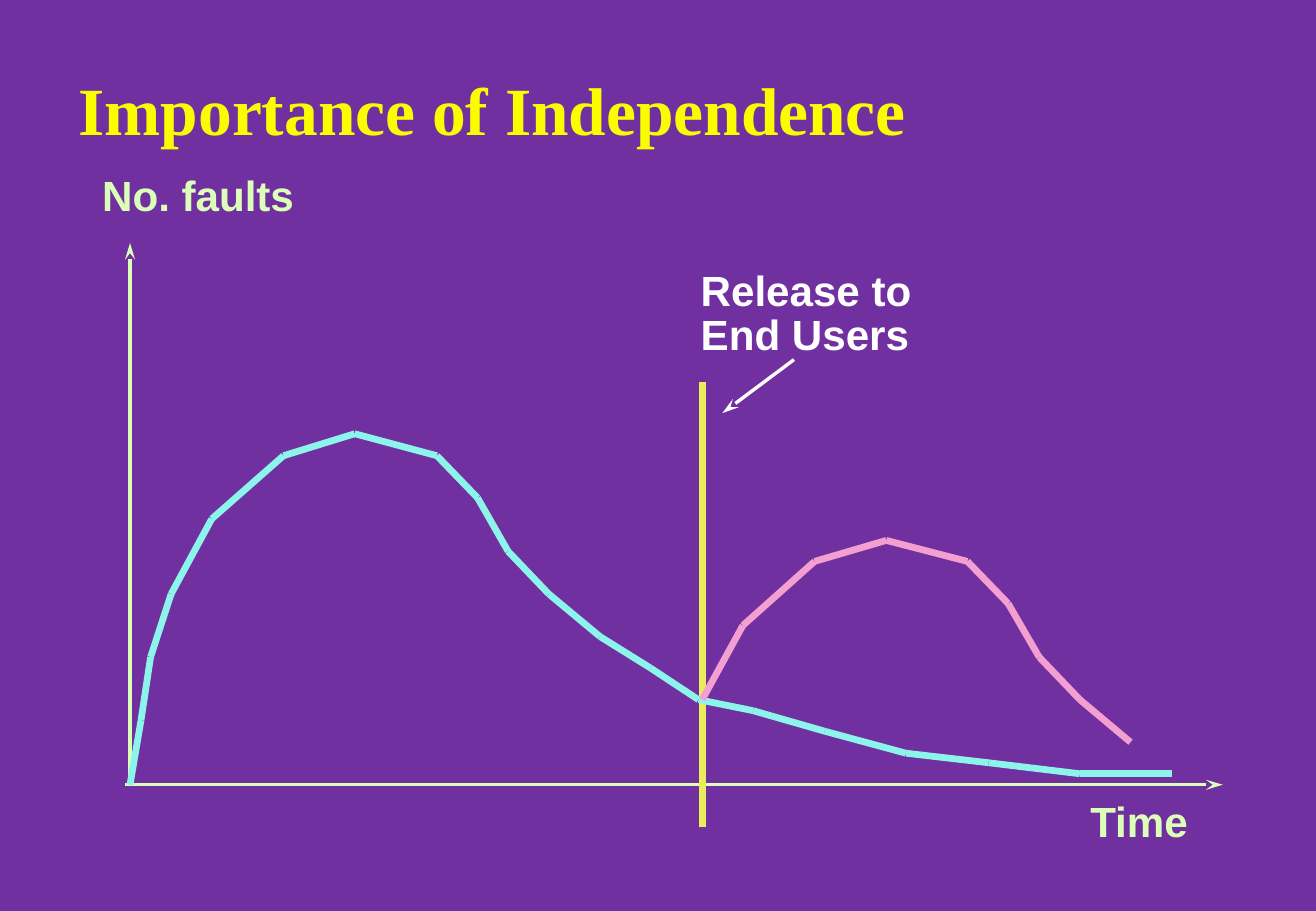
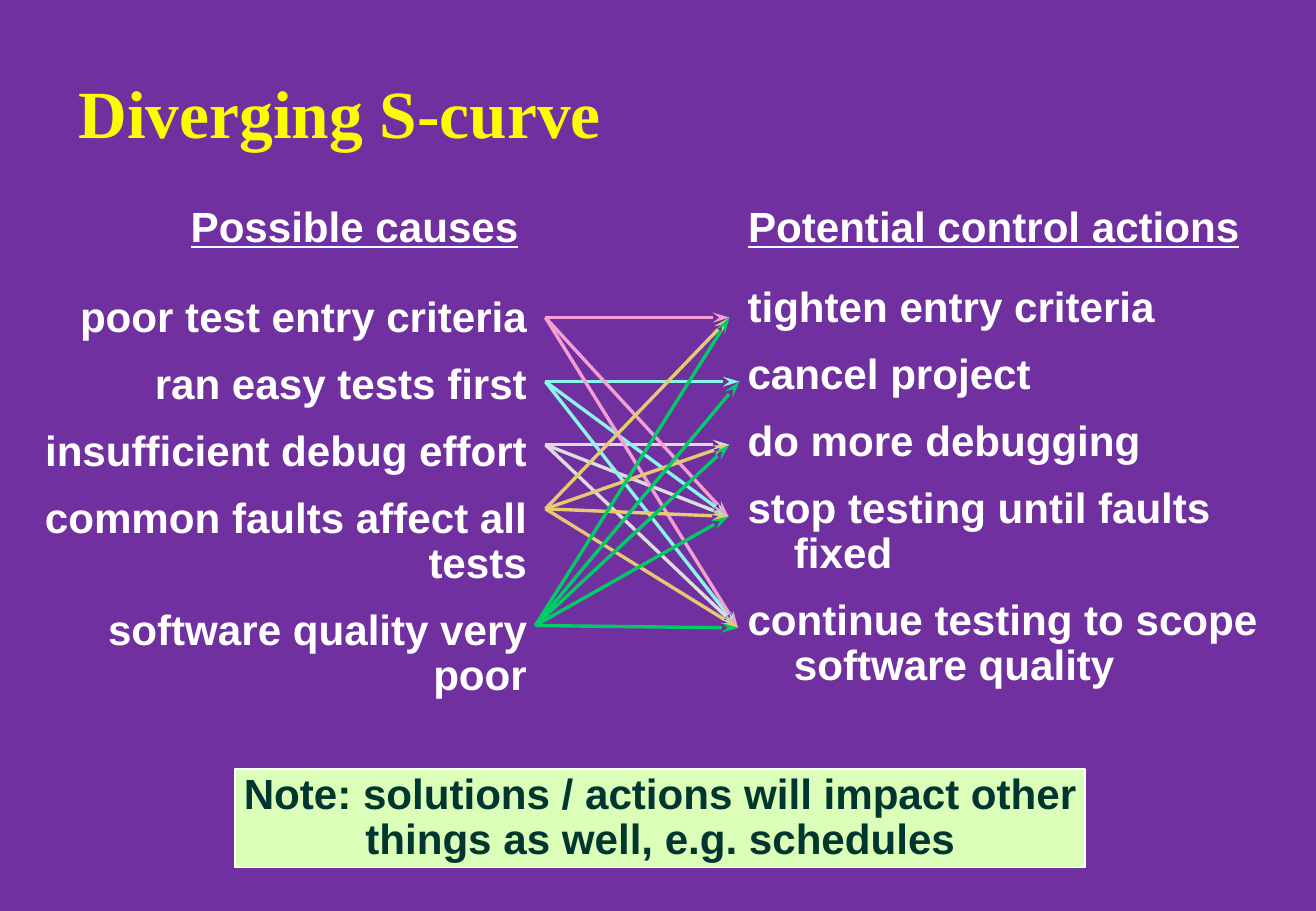
from dataclasses import dataclass, field
from itertools import pairwise
from typing import Any, NamedTuple

from lxml.etree import SubElement
from pptx import Presentation
from pptx.dml.color import RGBColor
from pptx.enum.shapes import MSO_CONNECTOR, MSO_SHAPE
from pptx.enum.text import MSO_ANCHOR, MSO_AUTO_SIZE, PP_ALIGN
from pptx.oxml.ns import qn
from pptx.util import Cm, Pt


@dataclass(frozen=True)
class Theme:
    background: str = "7030A0"
    title: str = "FAFD00"
    text: str = "FFFFFF"
    pale: str = "DBFFB8"
    dark: str = "003530"
    release: str = "EAEC5E"
    aqua: str = "8CF4EA"
    pink: str = "F39FD1"
    grey: str = "DDDDDD"
    sand: str = "E5CA72"
    green: str = "00CC66"
    title_font: str = "Times New Roman"
    body_font: str = "Arial"
    title_size: float = 40
    body_size: float = 25
    thin: float = 2
    thick: float = 4


THEME = Theme()


class Point(NamedTuple):
    """A place on the slide, in centimetres."""
    x: float
    y: float


class Area(NamedTuple):
    """Left, top, width and height, in centimetres."""
    left: float
    top: float
    width: float
    height: float


@dataclass(frozen=True)
class Label:
    lines: tuple[str, ...]
    area: Area
    color: str = THEME.text
    wrap: bool = False
    hanging: float = 0
    font: dict[str, Any] = field(default_factory=dict)
    paragraph: dict[str, Any] = field(default_factory=dict)


@dataclass(frozen=True)
class Line:
    start: Point
    end: Point
    color: str
    width: float = THEME.thin
    arrow: bool = True


@dataclass(frozen=True)
class Curve:
    color: str
    points: tuple[Point, ...]


@dataclass(frozen=True)
class Action:
    text: str
    tip: Point


@dataclass(frozen=True)
class Cause:
    text: str
    start: Point
    color: str
    actions: tuple[int, ...]


ORIGIN = Point(2.72, 16.41)
RELEASE_X = 14.69
CURVES = (
    Curve(THEME.aqua, (
        ORIGIN, Point(2.95, 15.06), Point(3.15, 13.74), Point(3.58, 12.42),
        Point(4.43, 10.85), Point(5.93, 9.53), Point(7.42, 9.07), Point(9.14, 9.53),
        Point(9.99, 10.41), Point(10.63, 11.53), Point(11.48, 12.42),
        Point(12.55, 13.31), Point(13.61, 13.97), Point(14.61, 14.63),
        Point(15.75, 14.86), Point(17.25, 15.29), Point(18.95, 15.75),
        Point(20.68, 15.95), Point(22.59, 16.18), Point(24.51, 16.18))),
    Curve(THEME.pink, (
        Point(RELEASE_X, 14.63), Point(15.54, 13.08), Point(17.04, 11.74),
        Point(18.54, 11.3), Point(20.24, 11.74), Point(21.09, 12.62),
        Point(21.74, 13.74), Point(22.59, 14.63), Point(23.65, 15.52))),
)
GRAPH_LINES = (
    Line(Point(2.62, ORIGIN.y), Point(25.58, ORIGIN.y), THEME.pale),
    Line(ORIGIN, Point(ORIGIN.x, 5.08), THEME.pale),
    Line(Point(RELEASE_X, 7.98), Point(RELEASE_X, 17.3), THEME.release, THEME.thick, False),
    Line(Point(16.61, 7.52), Point(15.11, 8.64), THEME.text),
)
GRAPH_LABELS = (
    Label(("Time",), Area(22.63, 16.69, 2.41, 1.07), THEME.pale),
    Label(("No. faults",), Area(1.96, 3.61, 4.4, 1.07), THEME.pale),
    Label(("Release to", "End Users"), Area(14.48, 5.6, 4.78, 1.98)),
)

ACTIONS = (
    Action("tighten entry criteria", Point(15.26, 6.64)),
    Action("cancel project", Point(15.47, 7.98)),
    Action("do more debugging", Point(15.26, 9.3)),
    Action("stop testing until faults fixed", Point(15.24, 10.8)),
    Action("continue testing to scope software quality", Point(15.44, 13.13)),
)
CAUSES = (
    Cause("poor test entry criteria", Point(11.41, 6.64), THEME.pink, (0, 3, 4)),
    Cause("ran easy tests first", Point(11.41, 7.98), THEME.aqua, (3, 1, 4)),
    Cause("insufficient debug effort", Point(11.41, 9.3), THEME.grey, (2, 3, 4)),
    Cause("common faults affect all tests", Point(11.41, 10.64), THEME.sand, (3, 2, 4, 0)),
    Cause("software quality very poor", Point(11.2, 13.08), THEME.green, (4, 1, 3, 0, 2)),
)
ITEM_FORMAT = {"line_spacing": 0.88, "space_before": Pt(13.4)}
UNDERLINED = {"underline": True}
HANGING = 0.97
LIST_LABELS = (
    Label(tuple(cause.text for cause in CAUSES), Area(0.43, 6.13, 10.77, 8.56),
          wrap=True, hanging=HANGING,
          paragraph=ITEM_FORMAT | {"alignment": PP_ALIGN.RIGHT}),
    Label(tuple(action.text for action in ACTIONS), Area(15.46, 5.92, 12.06, 8.56),
          wrap=True, hanging=HANGING, paragraph=ITEM_FORMAT),
    Label(("Possible causes",), Area(3.81, 4.25, 7.26, 1.07), font=UNDERLINED),
    Label(("Potential control actions",), Area(15.47, 4.25, 10.64, 1.07), font=UNDERLINED),
)
NOTE = Label(
    ("Note: solutions / actions will impact other", "things as well, e.g. schedules"),
    Area(4.92, 16.08, 17.78, 2.06), THEME.dark,
    paragraph={"line_spacing": 0.9, "alignment": PP_ALIGN.CENTER})


def apply_format(target: Any, values: dict[str, Any]) -> None:
    for name, value in values.items():
        setattr(target, name, value)


def in_cm(values: tuple[float, ...]) -> list[Cm]:
    return [Cm(value) for value in values]


def format_font(font: Any, name: str, size: float, color: str, **extra: Any) -> None:
    apply_format(font, {"name": name, "size": Pt(size), "bold": True} | extra)
    font.color.rgb = RGBColor.from_string(color)


def format_line(line: Any, color: str, width: float) -> None:
    line.color.rgb = RGBColor.from_string(color)
    line.width = Pt(width)


def add_page(deck: Any, title: str, spacing: float) -> Any:
    page = deck.slides.add_slide(deck.slide_layouts[5])
    box = page.shapes.title
    place = dict(zip(Area._fields, in_cm(Area(1.39, 1.49, 23.39, 1.7))))
    apply_format(box, place)
    apply_format(box.text_frame, {
        "text": title, "auto_size": MSO_AUTO_SIZE.NONE,
        "vertical_anchor": MSO_ANCHOR.MIDDLE})
    para = box.text_frame.paragraphs[0]
    apply_format(para, {"alignment": PP_ALIGN.LEFT, "line_spacing": spacing})
    format_font(para.runs[0].font, THEME.title_font, THEME.title_size, THEME.title)
    return page


def write_label(box: Any, label: Label) -> None:
    """Fill a box with one paragraph for each line of the label."""
    frame = box.text_frame
    apply_format(frame, {
        "word_wrap": label.wrap, "auto_size": MSO_AUTO_SIZE.SHAPE_TO_FIT_TEXT,
        "vertical_anchor": MSO_ANCHOR.TOP,
        "margin_left": Cm(0.18), "margin_right": Cm(0.18),
        "margin_top": Cm(0.08), "margin_bottom": Cm(0.08)})
    for index, line in enumerate(label.lines):
        para = frame.add_paragraph() if index else frame.paragraphs[0]
        apply_format(para, {"alignment": PP_ALIGN.LEFT, "line_spacing": 0.87} | label.paragraph)
        if label.hanging:
            properties = para._p.get_or_add_pPr()
            properties.set("marL", str(Cm(label.hanging)))
            properties.set("indent", str(-Cm(label.hanging)))
        span = para.add_run()
        span.text = line
        format_font(span.font, THEME.body_font, THEME.body_size, label.color, **label.font)


def add_label(page: Any, label: Label) -> None:
    write_label(page.shapes.add_textbox(*in_cm(label.area)), label)


def add_line(page: Any, line: Line) -> None:
    connector = page.shapes.add_connector(
        MSO_CONNECTOR.STRAIGHT, *in_cm(line.start + line.end))
    format_line(connector.line, line.color, line.width)
    properties = connector.element.spPr
    if line.arrow:
        SubElement(properties.find(qn("a:ln")), qn("a:tailEnd"),
                   type="stealth", w="med", len="lg")
    SubElement(properties, qn("a:effectLst"))


def add_curve(page: Any, curve: Curve) -> None:
    for start, end in pairwise(curve.points):
        add_line(page, Line(start, end, curve.color, THEME.thick, False))


def add_note(page: Any, note: Label) -> None:
    box = page.shapes.add_shape(MSO_SHAPE.RECTANGLE, *in_cm(note.area))
    box.shadow.inherit = False
    box.fill.solid()
    box.fill.fore_color.rgb = RGBColor.from_string(THEME.pale)
    format_line(box.line, THEME.text, 1)
    write_label(box, note)


def build_independence(deck: Any) -> None:
    page = add_page(deck, "Importance of Independence", 0.98)
    for line in GRAPH_LINES:
        add_line(page, line)
    for label in GRAPH_LABELS:
        add_label(page, label)
    for curve in CURVES:
        add_curve(page, curve)


def build_diverging(deck: Any) -> None:
    page = add_page(deck, "Diverging S-curve", 1.0)
    for label in LIST_LABELS:
        add_label(page, label)
    add_note(page, NOTE)
    for cause in (*reversed(CAUSES[:3]), *CAUSES[3:]):
        for index in cause.actions:
            add_line(page, Line(cause.start, ACTIONS[index].tip, cause.color))


def main() -> None:
    deck = Presentation()
    apply_format(deck, {"slide_width": Cm(27.53), "slide_height": Cm(19.05)})
    fill = deck.slide_master.background.fill
    fill.solid()
    fill.fore_color.rgb = RGBColor.from_string(THEME.background)
    build_independence(deck)
    build_diverging(deck)
    deck.save("out.pptx")


if __name__ == "__main__":
    main()
